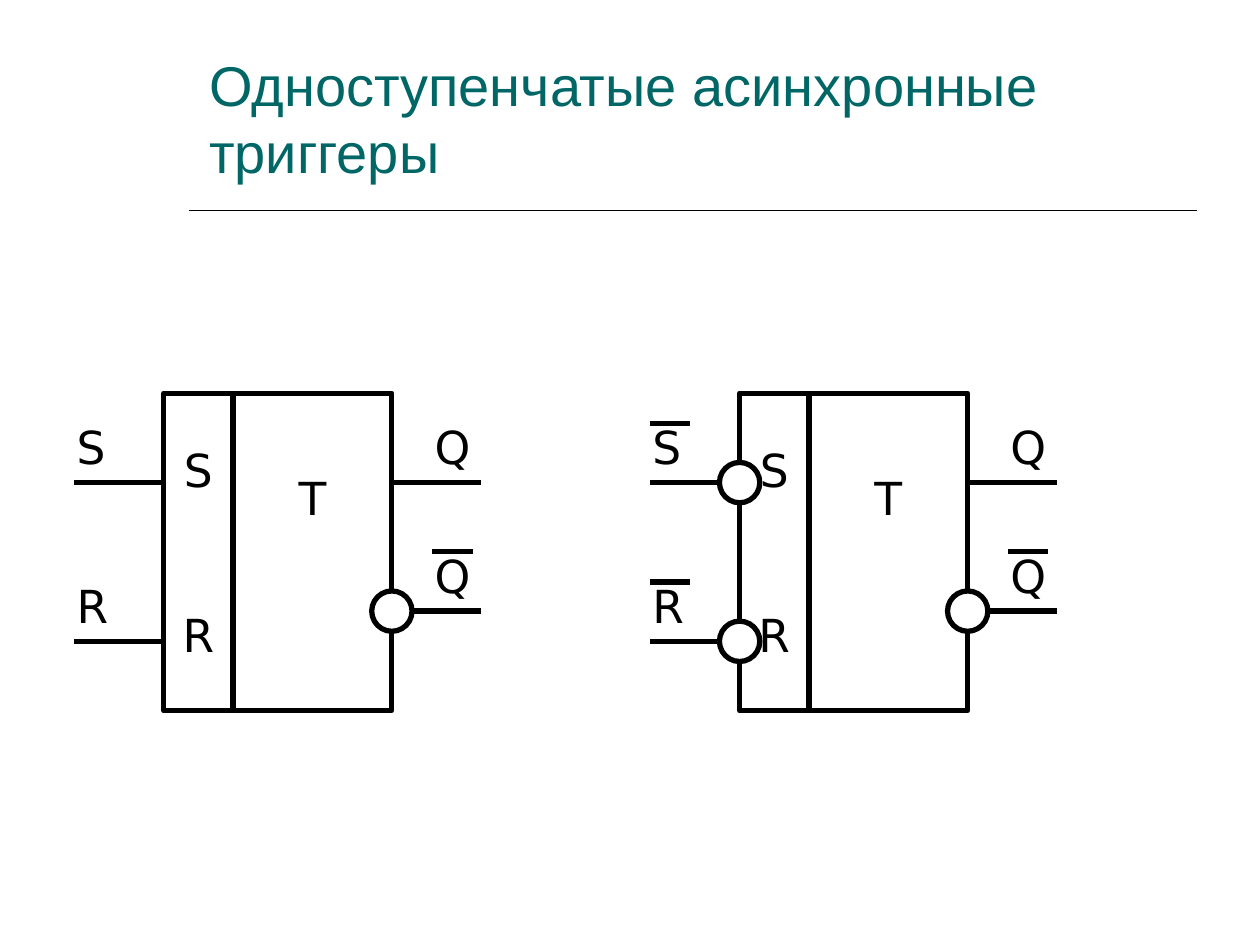
import pptx
import pptx.dml.color
import pptx.enum.shapes
import pptx.enum.text
import pptx.oxml
import pptx.util
from pptx.util import Inches

BLACK, WHITE, TEAL = "000000", "FFFFFF", "006666"
SYMBOL_FONT = {"name": "DejaVu Sans", "size": pptx.util.Pt(26)}
TITLE_FONT = {"name": "Arial", "size": pptx.util.Pt(32)}

TOP, HEIGHT = 3.12, 2.52
INPUT_WIDTH, BODY_WIDTH, LEAD = 0.55, 1.26, 0.71
SET_Y, RESET_Y, INVERTED_Y = 3.83, 5.09, 4.85
CIRCLE = 0.32


def color(hex_value):
    return pptx.dml.color.RGBColor.from_string(hex_value)


def format_font(font, values, hex_value=BLACK):
    for name, value in values.items():
        setattr(font, name, value)
    font.color.rgb = color(hex_value)


def add_line(slide, left, right, y, points=3):
    line = slide.shapes.add_connector(
        pptx.enum.shapes.MSO_CONNECTOR.STRAIGHT,
        Inches(left), Inches(y), Inches(right), Inches(y))
    line.line.color.rgb = color(BLACK)
    line.line.width = pptx.util.Pt(points)
    properties = line._element.spPr
    properties.append(pptx.oxml.parse_xml(
        '<a:effectLst xmlns:a="http://schemas.openxmlformats.org/drawingml/2006/main"/>'))


def add_outlined(slide, kind, left, top, width, height):
    shape = slide.shapes.add_shape(
        kind, Inches(left), Inches(top), Inches(width), Inches(height))
    shape.shadow.inherit = False
    shape.fill.solid()
    shape.fill.fore_color.rgb = color(WHITE)
    shape.line.color.rgb = color(BLACK)
    shape.line.width = pptx.util.Pt(3)
    return shape


def add_section(slide, left, width, letters, bottom_inset=0.05):
    """Draw one section of a trigger, with its letters spread down the middle."""
    box = add_outlined(slide, pptx.enum.shapes.MSO_SHAPE.RECTANGLE,
                       left, TOP, width, HEIGHT)
    frame = box.text_frame
    frame.word_wrap = False
    frame.vertical_anchor = pptx.enum.text.MSO_ANCHOR.MIDDLE
    frame.margin_bottom = Inches(bottom_inset)
    for index, letter in enumerate(letters):
        para = frame.add_paragraph() if index else frame.paragraphs[0]
        para.text = letter
        para.alignment = pptx.enum.text.PP_ALIGN.CENTER
        if index:
            para.space_before = pptx.util.Pt(63)
        format_font(para.font, SYMBOL_FONT)


def add_circle(slide, x, y):
    add_outlined(slide, pptx.enum.shapes.MSO_SHAPE.OVAL,
                 x - CIRCLE / 2, y - CIRCLE / 2, CIRCLE, CIRCLE)


def add_signal(slide, letter, lead_left, label_left, y, edge, overbar, inverted):
    """Draw a lead with its label, and a circle at the edge if it is inverted."""
    add_line(slide, lead_left, lead_left + LEAD, y)
    box = slide.shapes.add_textbox(
        Inches(label_left), Inches(y - 0.55), Inches(0.71), Inches(0.54))
    box.text_frame.word_wrap = True
    para = box.text_frame.paragraphs[0]
    para.text = letter
    format_font(para.font, SYMBOL_FONT)
    if overbar:
        add_line(slide, label_left + 0.08, label_left + 0.4, y - 0.47)
    if inverted:
        add_circle(slide, edge, y)


def add_trigger(slide, left, inverted_inputs):
    middle = left + INPUT_WIDTH
    right = middle + BODY_WIDTH
    add_section(slide, left, INPUT_WIDTH, "SR")
    add_section(slide, middle, BODY_WIDTH, "T", bottom_inset=0.92)
    for letter, y in (("S", SET_Y), ("R", RESET_Y)):
        add_signal(slide, letter, left - LEAD, left - 0.79, y, left,
                   inverted_inputs, inverted_inputs)
    for y, inverted in ((SET_Y, False), (INVERTED_Y, True)):
        add_signal(slide, "Q", right, right + 0.24, y, right, inverted, inverted)


def add_title(slide, text):
    title = slide.shapes.title
    title.left, title.top = Inches(1.56), Inches(0.39)
    title.width, title.height = Inches(7.88), Inches(1.13)
    frame = title.text_frame
    frame.auto_size = pptx.enum.text.MSO_AUTO_SIZE.NONE
    frame.word_wrap = True
    frame.vertical_anchor = pptx.enum.text.MSO_ANCHOR.BOTTOM
    para = frame.paragraphs[0]
    para.text = text
    para.alignment = pptx.enum.text.PP_ALIGN.LEFT
    format_font(para.font, TITLE_FONT, TEAL)


def main():
    deck = pptx.Presentation()
    deck.slide_width, deck.slide_height = Inches(10), Inches(7.5)
    slide = deck.slides.add_slide(deck.slide_layouts.get_by_name("Title Only"))
    add_title(slide, "Одноступенчатые асинхронные триггеры")
    add_line(slide, 1.5, 9.5, 1.67, points=1)
    add_trigger(slide, 1.3, inverted_inputs=False)
    add_trigger(slide, 5.87, inverted_inputs=True)
    deck.save("out.pptx")


if __name__ == "__main__":
    main()
